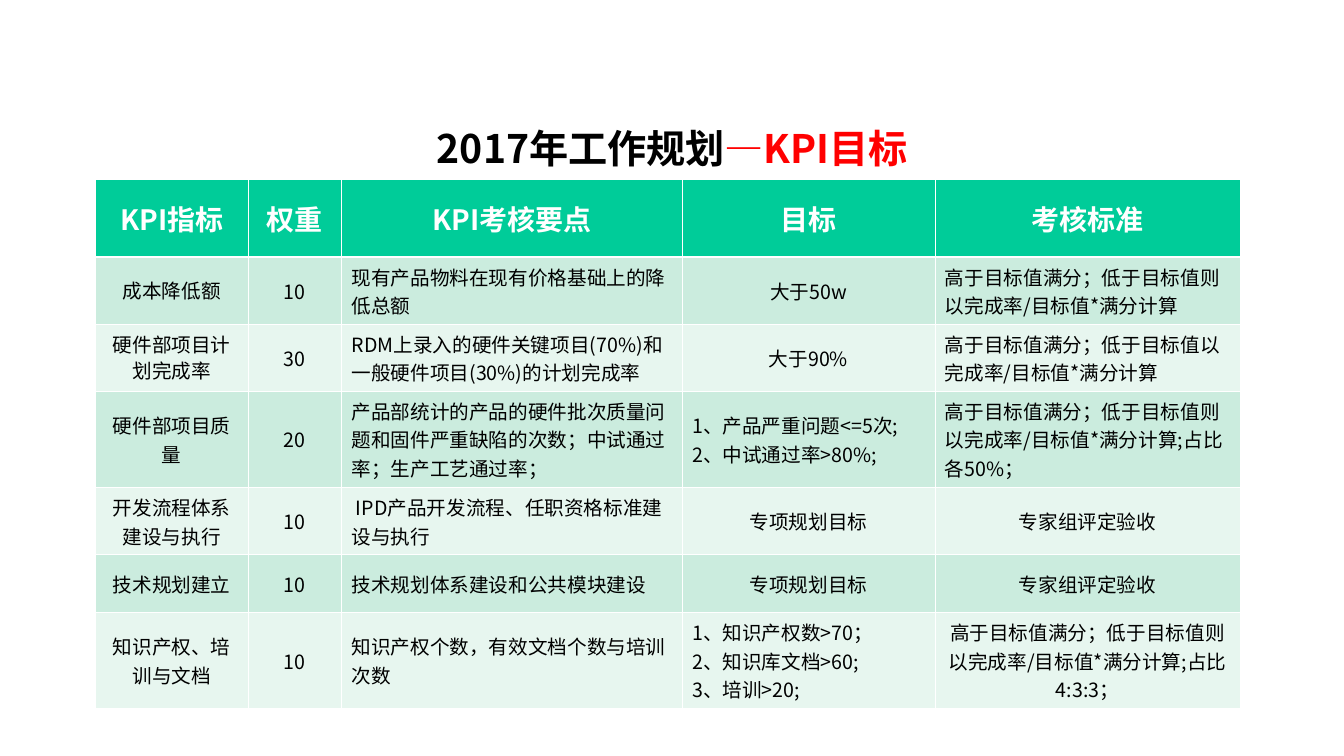
from pptx import Presentation
from pptx.util import Inches, Pt
from pptx.dml.color import RGBColor as RGB
from pptx.enum.lang import MSO_LANGUAGE_ID as Lang
from pptx.enum.text import MSO_ANCHOR as Anchor, PP_ALIGN as Align
from pptx.oxml.ns import qn
from lxml.etree import SubElement

WIDTH, HEIGHT = 13.34, 7.5
FONT = "Noto Sans CJK SC"
COLORS = {"ink": "000000", "accent": "FF0000", "white": "FFFFFF",
          "header": "00CC99", "odd": "CBECDE", "even": "E7F6EF"}

COLUMNS = [1.51, 0.93, 3.38, 2.51, 3.03]
ROWS = [0.77, 0.67, 0.66, 0.96, 0.66, 0.58, 0.95]
SCORE = "高于目标值满分；低于目标值则以完成率/目标值*满分计算"
PLAN, EXPERTS = "专项规划目标", "专家组评定验收"
KPIS = [
    ["KPI指标", "权重", "KPI考核要点", "目标", "考核标准"],
    ["成本降低额", "10", "现有产品物料在现有价格基础上的降低总额", "大于50w", SCORE],
    ["硬件部项目计划完成率", "30",
     "RDM上录入的硬件关键项目(70%)和一般硬件项目(30%)的计划完成率",
     "大于90%", "高于目标值满分；低于目标值以完成率/目标值*满分计算"],
    ["硬件部项目质量", "20",
     "产品部统计的产品的硬件批次质量问题和固件严重缺陷的次数；中试通过率；生产工艺通过率；",
     "1、产品严重问题<=5次;\n2、中试通过率>80%;", SCORE + ";占比各50%；"],
    ["开发流程体系建设与执行", "10", " IPD产品开发流程、任职资格标准建设与执行", PLAN, EXPERTS],
    ["技术规划建立", "10", "技术规划体系建设和公共模块建设", PLAN, EXPERTS],
    ["知识产权、培训与文档", "10", "知识产权个数，有效文档个数与培训次数",
     "1、知识产权数>70；\n2、知识库文档>60;\n3、培训>20;", SCORE + ";占比4:3:3；"],
]
# Left-aligned body cells as (row, column); all others are centred
LEFT = {(row, 2) for row in range(1, 7)} | {(row, 4) for row in (1, 2, 3)} | {(3, 3), (6, 3)}
TIGHT = {(1, 0), (2, 0)}


def add_run(p, text, size=14, color="ink", bold=False):
    r = p.add_run()
    r.text = text
    font = r.font
    font.size, font.bold, font.name = Pt(size), bold, FONT
    font.color.rgb = RGB.from_string(COLORS[color])
    font.language_id = Lang.SIMPLIFIED_CHINESE
    SubElement(r._r.get_or_add_rPr(), qn("a:ea"), typeface=FONT)


def write(tf, text, align=Align.CENTER, spacing=None, **style):
    tf.word_wrap = True
    for i, line in enumerate(text.split("\n")):
        p = tf.add_paragraph() if i else tf.paragraphs[0]
        p.alignment = align
        if spacing:
            p.line_spacing = spacing
        add_run(p, line, **style)


def style_cell(cell, fill, top, bottom):
    # Borders come before the fill in the cell properties
    tc_pr = cell._tc.get_or_add_tcPr()
    for side, width in (("L", 0.45), ("R", 0.45), ("T", top), ("B", bottom)):
        line = SubElement(tc_pr, qn(f"a:ln{side}"), w=str(Pt(width)))
        solid = SubElement(line, qn("a:solidFill"))
        SubElement(solid, qn("a:srgbClr"), val=COLORS["white"])
    cell.fill.solid()
    cell.fill.fore_color.rgb = RGB.from_string(COLORS[fill])
    cell.vertical_anchor = Anchor.MIDDLE


def add_title(s, box):
    tf = s.shapes.add_textbox(*map(Inches, box)).text_frame
    tf.vertical_anchor = Anchor.MIDDLE
    write(tf, "2017年工作规划", size=28, bold=True)
    add_run(tf.paragraphs[0], "—KPI目标", size=28, color="accent", bold=True)


def add_kpi_table(s, box):
    left, top, width, height = box
    table = s.shapes.add_table(len(ROWS), len(COLUMNS), *map(Inches, box)).table
    for column, share in zip(table.columns, COLUMNS):
        column.width = Inches(width * share / sum(COLUMNS))
    for row, share in zip(table.rows, ROWS):
        row.height = Inches(height * share / sum(ROWS))
    for i, texts in enumerate(KPIS):
        for j, text in enumerate(texts):
            cell = table.cell(i, j)
            fill = "header" if i == 0 else "odd" if i % 2 else "even"
            style_cell(cell, fill, top=1.47 if i == 1 else 0.45,
                       bottom=1.47 if i == 0 else 0.45)
            style = {"size": 20, "color": "white", "bold": True} if i == 0 else {}
            write(cell.text_frame, text,
                  align=Align.LEFT if (i, j) in LEFT else Align.CENTER,
                  spacing=0.9 if (i, j) in TIGHT else None, **style)


def main():
    prs = Presentation()
    prs.slide_width, prs.slide_height = Inches(WIDTH), Inches(HEIGHT)
    s = prs.slides.add_slide(prs.slide_layouts[6])
    # Title above the table
    add_title(s, (1.04, 1.15, 11.27, 0.63))
    # KPI table
    add_kpi_table(s, (0.95, 1.78, sum(COLUMNS), sum(ROWS)))
    prs.save("out.pptx")


if __name__ == "__main__":
    main()
